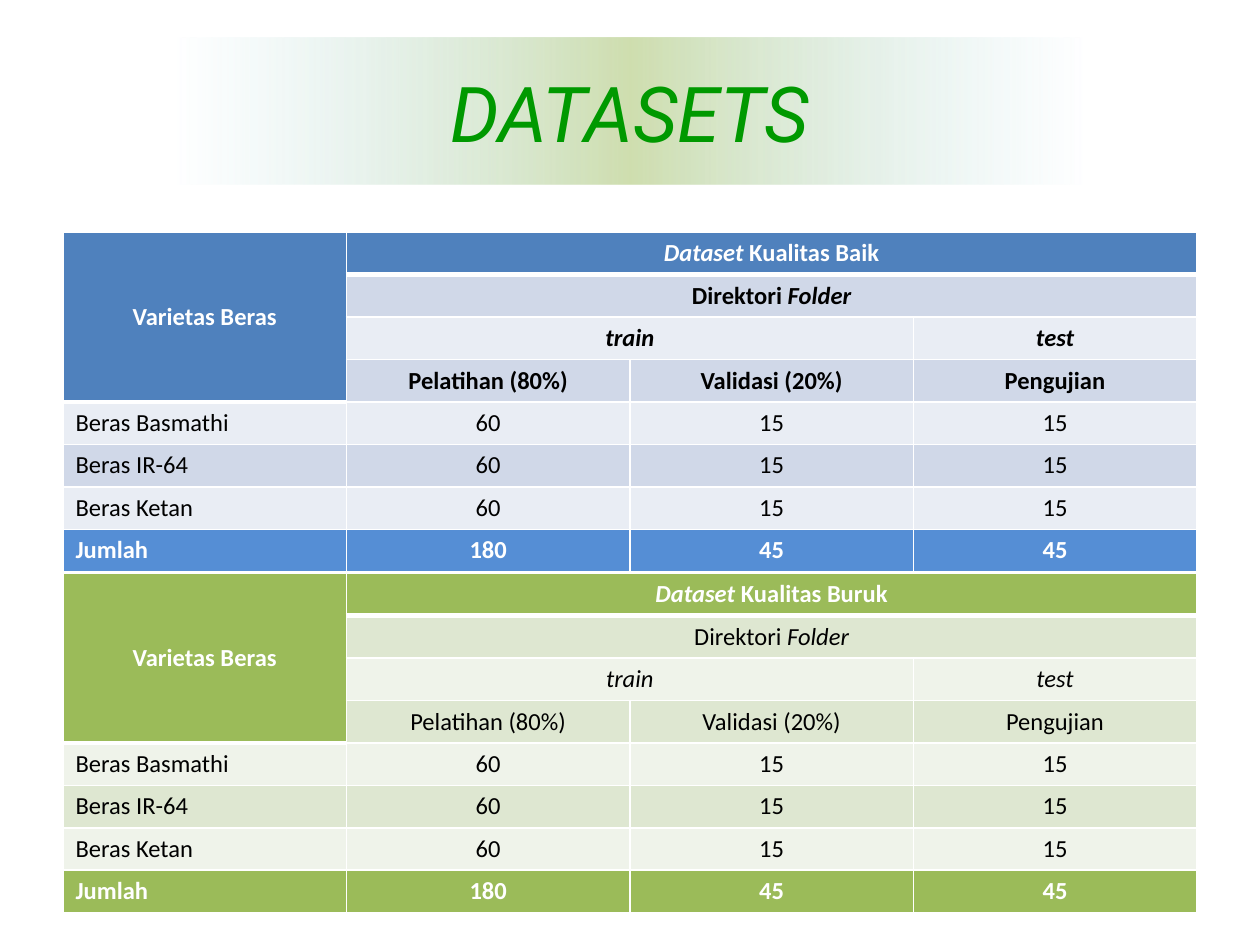
from dataclasses import dataclass

from lxml import etree
from pptx import Presentation
from pptx import util as u
from pptx.dml.color import RGBColor
from pptx.enum import shapes, text
from pptx.oxml.ns import qn

PX = u.Inches(1) // 126
WHITE = RGBColor(0xFF, 0xFF, 0xFF)
BLACK = RGBColor(0x00, 0x00, 0x00)
TITLE_GREEN = RGBColor(0x00, 0x99, 0x00)
GLOW_EDGE = RGBColor(0xB7, 0xDE, 0xE8)
GLOW_CENTRE = RGBColor(0xC3, 0xD6, 0x9B)
LEFT, WIDTH, ROW_HEIGHT = 63, 1134, 42
HEADER_ROWS = 4


@dataclass(frozen=True)
class Dataset:
    quality: str
    top: int
    header: RGBColor
    dark_band: RGBColor
    light_band: RGBColor
    total: RGBColor
    bold_subheads: bool


DATASETS = [
    Dataset("Baik", 232, RGBColor(0x4F, 0x81, 0xBD), RGBColor(0xD0, 0xD8, 0xE8),
            RGBColor(0xE9, 0xED, 0xF4), RGBColor(0x55, 0x8E, 0xD5), True),
    Dataset("Buruk", 573, RGBColor(0x9B, 0xBB, 0x59), RGBColor(0xDE, 0xE7, 0xD1),
            RGBColor(0xEF, 0xF3, 0xEA), RGBColor(0x9B, 0xBB, 0x59), False),
]


def table_rows(quality: str) -> list[list[str]]:
    """Cell texts; asterisks enclose italics, empty cells belong to a merge."""
    varieties = ["Beras Basmathi", "Beras IR-64", "Beras Ketan"]
    return [
        ["Varietas Beras", f"*Dataset* Kualitas {quality}", "", ""],
        ["", "Direktori *Folder*", "", ""],
        ["", "*train*", "", "*test*"],
        ["", "Pelatihan (80%)", "Validasi (20%)", "Pengujian"],
        *[[name, "60", "15", "15"] for name in varieties],
        ["Jumlah", "180", "45", "45"],
    ]


def set_borders(cell, top: int, bottom: int) -> None:
    tc_pr = cell._tc.get_or_add_tcPr()
    for tag, points in (("a:lnL", 1), ("a:lnR", 1), ("a:lnT", top), ("a:lnB", bottom)):
        ln = etree.SubElement(tc_pr, qn(tag), w=str(u.Pt(points)))
        fill = etree.SubElement(ln, qn("a:solidFill"))
        etree.SubElement(fill, qn("a:srgbClr"), val=str(WHITE))


def write_cell(cell, marked: str, color: RGBColor, bold: bool, centred: bool) -> None:
    cell.vertical_anchor = text.MSO_ANCHOR.MIDDLE
    p = cell.text_frame.paragraphs[0]
    p.alignment = text.PP_ALIGN.CENTER if centred else text.PP_ALIGN.LEFT
    p.font.size = u.Pt(14)
    for i, part in enumerate(marked.split("*")):
        if part:
            r = p.add_run()
            r.text = part
            r.font.name = "Calibri"
            r.font.size = u.Pt(14)
            r.font.bold = bold
            r.font.italic = i % 2 == 1
            r.font.color.rgb = color


def add_dataset_table(slide, data: Dataset) -> None:
    rows = table_rows(data.quality)
    last = len(rows) - 1
    table = slide.shapes.add_table(
        len(rows), 4, LEFT * PX, data.top * PX,
        WIDTH * PX, len(rows) * ROW_HEIGHT * PX).table

    for i, row in enumerate(rows):
        for j, value in enumerate(row):
            cell = table.cell(i, j)
            is_header = i == 0 or (j == 0 and i < HEADER_ROWS)
            strong = is_header or i == last

            # A thick rule closes each header block
            header_end = HEADER_ROWS if j == 0 else 1
            set_borders(cell, top=3 if i == header_end else 1,
                        bottom=3 if is_header and i in (0, header_end - 1) else 1)
            cell.fill.solid()
            if is_header:
                cell.fill.fore_color.rgb = data.header
            elif i == last:
                cell.fill.fore_color.rgb = data.total
            else:
                cell.fill.fore_color.rgb = data.dark_band if i % 2 else data.light_band

            bold = strong or (i < HEADER_ROWS and data.bold_subheads)
            write_cell(cell, value, WHITE if strong else BLACK, bold,
                       centred=j > 0 or i < HEADER_ROWS)

    # Header spans
    for first, end in (((0, 0), (3, 0)), ((0, 1), (0, 3)),
                       ((1, 1), (1, 3)), ((2, 1), (2, 2))):
        table.cell(*first).merge(table.cell(*end))


def add_title(slide) -> None:
    sp = slide.shapes.add_shape(shapes.MSO_SHAPE.RECTANGLE,
                                LEFT * PX, 38 * PX, WIDTH * PX, 147 * PX)
    sp.shadow.inherit = False
    sp.line.fill.background()

    # Glow that fades out towards both sides
    sp.fill.gradient()
    sp.fill.gradient_angle = 0
    stops = sp._element.spPr.find(qn("a:gradFill")).find(qn("a:gsLst"))
    for old in list(stops):
        stops.remove(old)
    for pos, color, alpha in ((10, GLOW_EDGE, 0), (50, GLOW_CENTRE, 80), (90, GLOW_EDGE, 0)):
        gs = etree.SubElement(stops, qn("a:gs"), pos=str(pos * 1000))
        clr = etree.SubElement(gs, qn("a:srgbClr"), val=str(color))
        etree.SubElement(clr, qn("a:alpha"), val=str(alpha * 1000))

    tf = sp.text_frame
    tf.text = "DATASETS"
    tf.vertical_anchor = text.MSO_ANCHOR.MIDDLE
    p = tf.paragraphs[0]
    p.alignment = text.PP_ALIGN.CENTER
    r = p.runs[0]
    r.font.name = "Roboto"
    r.font.size = u.Pt(44)
    r.font.italic = True
    r.font.color.rgb = TITLE_GREEN


def main() -> None:
    prs = Presentation()
    prs.slide_width, prs.slide_height = 1260 * PX, 945 * PX
    slide = prs.slides.add_slide(prs.slide_layouts[6])
    add_title(slide)
    for data in DATASETS:
        add_dataset_table(slide, data)
    prs.save("out.pptx")


if __name__ == "__main__":
    main()
